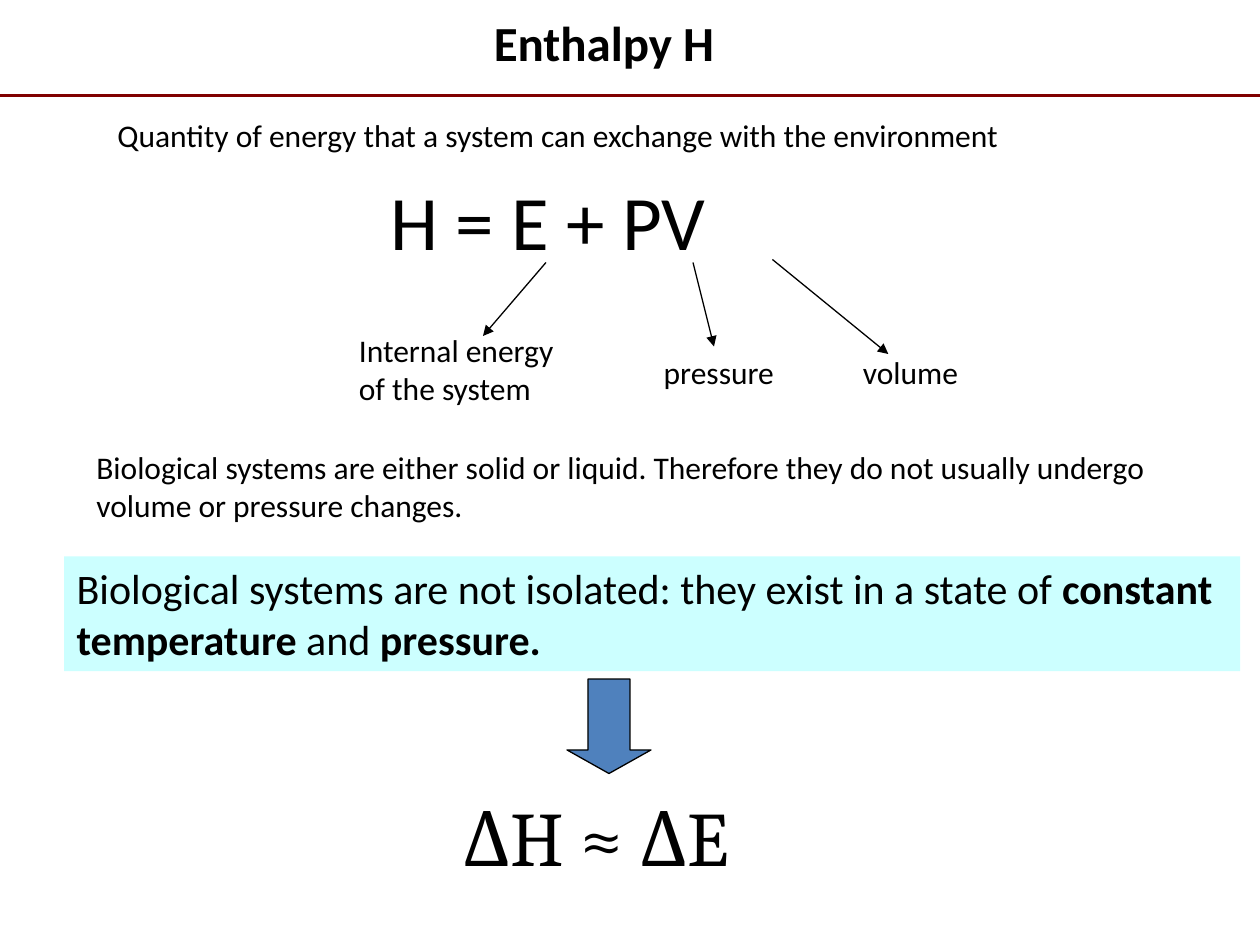
"""Build a slide that defines enthalpy and its approximation for biological systems."""
from typing import NamedTuple

from lxml import etree
from pptx import Presentation
from pptx.dml.color import RGBColor
from pptx.enum.shapes import MSO_CONNECTOR, MSO_SHAPE
from pptx.enum.text import MSO_ANCHOR, MSO_AUTO_SIZE, PP_ALIGN
from pptx.oxml.ns import qn
from pptx.util import Pt

LEFT = PP_ALIGN.LEFT
TOP = MSO_ANCHOR.TOP
NO_RESIZE = MSO_AUTO_SIZE.NONE
STRAIGHT = MSO_CONNECTOR.STRAIGHT
DOWN_ARROW = MSO_SHAPE.DOWN_ARROW
RECTANGLE = MSO_SHAPE.RECTANGLE
TITLE_ONLY = 5
BLACK = "000000"


class Box(NamedTuple):
    """A frame in points."""
    left: float
    top: float
    width: float
    height: float


class Statement(NamedTuple):
    """A text with its frame, size and font."""
    text: str
    box: Box
    size: float = 18
    font: str = "Calibri"


class Line(NamedTuple):
    """A straight line between two points."""
    start: tuple[float, float]
    end: tuple[float, float]
    color: str = BLACK
    width: float = 0.75
    arrow: bool = True


TITLE = Statement("Enthalpy H", Box(275, 3.6, 162, 41), 28)
STATEMENTS = [
    Statement("Quantity of energy that a system can exchange with the environment",
              Box(60, 62.6, 628.5, 31.7)),
    Statement("H = E + PV", Box(216, 95.8, 234.7, 59.8), 44),
    Statement("Internal energy\nof the system", Box(198, 185.8, 152.6, 55.4)),
    Statement("pressure", Box(372.2, 198, 93, 31.7)),
    Statement("volume", Box(486, 198, 80.6, 31.7)),
    Statement("Biological systems are either solid or liquid. Therefore they do not "
              "usually undergo volume or pressure changes.", Box(48, 252.7, 624, 55.4)),
    Statement("ΔH ≈ ΔE", Box(257.8, 447.8, 172.8, 59.8), 44, "Cambria"),
]
LINES = [
    Line((0, 54.7), (720, 54.7), "800000", 2, False),
    Line((312, 150), (276, 192)),
    Line((396, 150), (408, 198)),
    Line((441.4, 148.3), (507.6, 202.3)),
]
CONDITIONS = [
    ("Biological systems are not isolated: they exist in a state of", False),
    (" constant temperature ", True),
    ("and", False),
    (" pressure.", True),
]


def rgb(color: str) -> RGBColor:
    """Turn a hex string into a colour."""
    return RGBColor.from_string(color)


def place(shape, box: Box) -> None:
    """Move and size a shape."""
    shape.left, shape.top, shape.width, shape.height = map(Pt, box)


def format_run(run, size: float, font: str = "Calibri", bold: bool = False) -> None:
    """Give a run its font."""
    run.font.size, run.font.name, run.font.bold = Pt(size), font, bold
    run.font.color.rgb = rgb(BLACK)


def settle(frame) -> None:
    """Make a text frame wrap and start at its upper left."""
    frame.word_wrap = True
    frame.auto_size = NO_RESIZE
    frame.vertical_anchor = TOP
    for paragraph in frame.paragraphs:
        paragraph.alignment = LEFT


def write(shape, statement: Statement, bold: bool = False) -> None:
    """Place a statement in a text shape."""
    place(shape, statement.box)
    frame = shape.text_frame
    frame.text = statement.text
    settle(frame)
    for paragraph in frame.paragraphs:
        for run in paragraph.runs:
            format_run(run, statement.size, statement.font, bold)


def draw_line(slide, line: Line) -> None:
    """Draw a line, with an arrowhead if wanted."""
    connector = slide.shapes.add_connector(STRAIGHT, *map(Pt, line.start + line.end))
    connector.line.color.rgb = rgb(line.color)
    connector.line.width = Pt(line.width)
    if line.arrow:
        etree.SubElement(connector.line._get_or_add_ln(), qn("a:tailEnd"), type="triangle")
    etree.SubElement(connector._element.spPr, qn("a:effectLst"))


def add_filled(slide, kind, box: Box, fill: str):
    """Add a flat filled shape without an outline."""
    shape = slide.shapes.add_shape(kind, *map(Pt, box))
    shape.shadow.inherit = False
    shape.fill.solid()
    shape.fill.fore_color.rgb = rgb(fill)
    shape.line.fill.background()
    return shape


def main() -> None:
    """Build and save the slide."""
    presentation = Presentation()
    presentation.slide_width, presentation.slide_height = Pt(720), Pt(540)
    slide = presentation.slides.add_slide(presentation.slide_layouts[TITLE_ONLY])
    write(slide.shapes.title, TITLE, bold=True)
    for statement in STATEMENTS:
        write(slide.shapes.add_textbox(*map(Pt, statement.box)), statement)
    for line in LINES:
        draw_line(slide, line)

    implication = add_filled(slide, DOWN_ARROW, Box(324, 388, 48, 54), "4F81BD")
    implication.adjustments[0], implication.adjustments[1] = 0.5, 0.28
    implication.line.color.rgb = rgb(BLACK)
    implication.line.width = Pt(0.75)

    conditions = add_filled(slide, RECTANGLE, Box(36.7, 318, 672, 65.5), "CCFFFF")
    settle(conditions.text_frame)
    for phrase, bold in CONDITIONS:
        run = conditions.text_frame.paragraphs[0].add_run()
        run.text = phrase
        format_run(run, 24, bold=bold)
    presentation.save("out.pptx")


if __name__ == "__main__":
    main()
